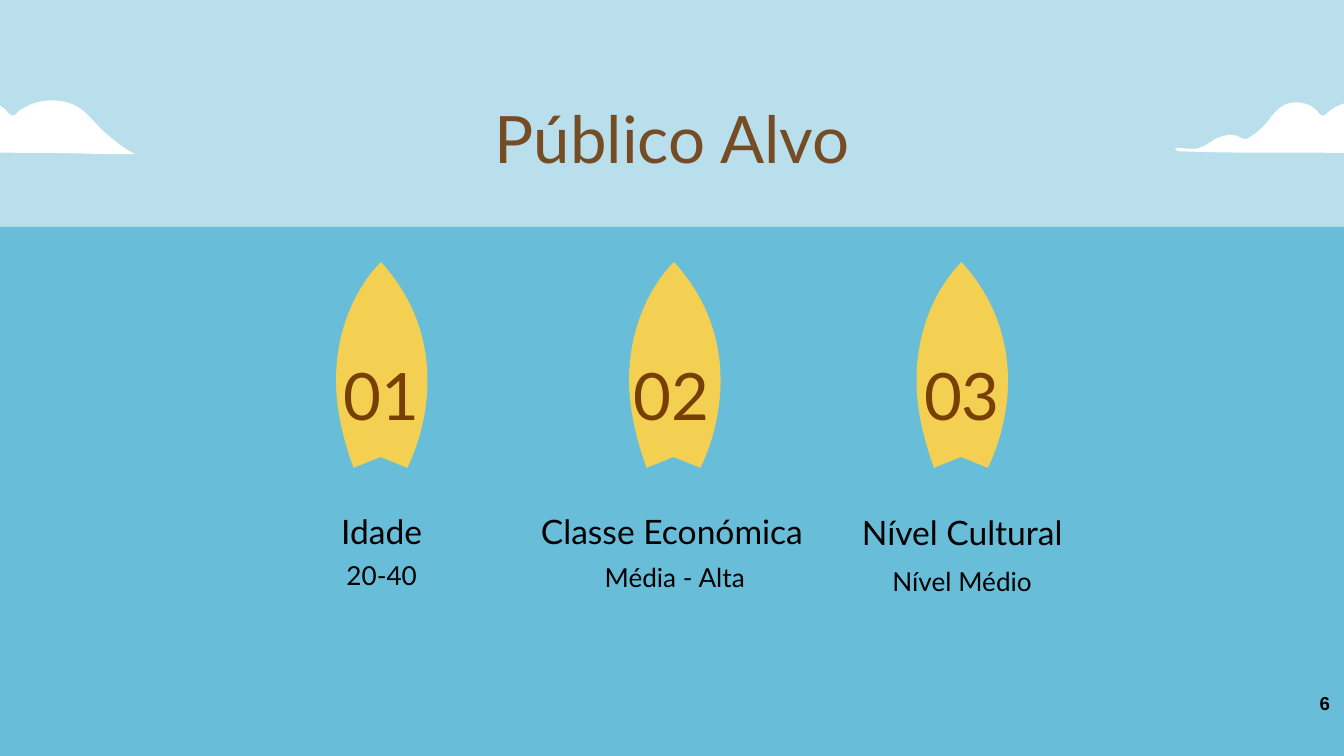
import pptx
import pptx.util
import pptx.dml.color
import pptx.enum.shapes
import pptx.enum.text
import pptx.oxml.ns
import pptx.oxml.xmlchemy

Pt = pptx.util.Pt
RGBColor = pptx.dml.color.RGBColor
Anchor = pptx.enum.text.MSO_ANCHOR
Align = pptx.enum.text.PP_ALIGN

SKY = RGBColor(0xB8, 0xDF, 0xEB)
SEA = RGBColor(0x68, 0xBD, 0xD8)
WHITE = RGBColor(0xFF, 0xFF, 0xFF)
YELLOW = RGBColor(0xF4, 0xD0, 0x52)
TITLE_BROWN = RGBColor(0x75, 0x4C, 0x24)
NUMBER_BROWN = RGBColor(0x78, 0x3F, 0x04)
BLACK = RGBColor(0, 0, 0)

# Outlines in points: three points make a Bézier curve, one makes a line
CLOUD = [
    [(128.2, 31)],
    [(86.4, 29.5), (44.6, 31), (3.6, 29.5)],
    [(2.2, 29.5), (0.7, 29.5), (0, 28.1)],
    [(2.2, 27.4), (5, 28.1), (7.9, 28.1)],
    [(13, 28.8), (17.3, 25.9), (21.6, 23)],
    [(25.9, 20.9), (31.7, 19.4), (35.3, 22.3)],
    [(36, 22.3), (37.4, 23), (38.2, 23)],
    [(38.9, 23), (38.9, 23), (39.6, 22.3)],
    [(43.2, 20.2), (46.8, 17.3), (49.7, 13.7)],
    [(51.8, 10.8), (54, 7.9), (56.9, 5.8)],
    [(62.6, 1.4), (72.7, 2.9), (77, 8.6)],
    [(77.8, 9.4), (77.8, 10.1), (78.5, 10.1)],
    [(79.2, 10.8), (81.4, 10.1), (82.1, 8.6)],
    [(91.4, 0.7), (107.3, 0), (116.6, 7.2)],
    [(119.5, 9.4), (121.7, 12.2), (124.6, 15.1)],
    [(128.2, 19.4), (139.7, 28.8), (145.4, 31)],
]
# The board lies with its nose to the right and is turned upright
SURFBOARD = [
    [(46.8, 0)],
    [(33.2, 0), (18, 2.9), (0, 9.4)],
    [(5.8, 23.8)],
    [(0, 38.2)],
    [(0, 38.2), (20.2, 49), (46.8, 49)],
    [(66.3, 49), (89.3, 43.2), (110.2, 24.1)],
    [(110.2, 24.1), (88.6, 0), (46.8, 0)],
]

prs = pptx.Presentation()
prs.slide_width, prs.slide_height = Pt(720), Pt(405)
slide = prs.slides.add_slide(prs.slide_layouts[5])
slide.background.fill.solid()
slide.background.fill.fore_color.rgb = SKY


def draw_outline(outline, left, top, color, rotation=0):
    corners = [(Pt(x), Pt(y)) for segment in outline for x, y in segment]
    builder = slide.shapes.build_freeform(*corners[0], scale=1.0)
    builder.add_line_segments(corners[1:], close=True)
    figure = builder.convert_to_shape(Pt(left), Pt(top))
    figure.rotation = rotation
    figure.shadow.inherit = False
    figure.fill.solid()
    figure.fill.fore_color.rgb = color
    figure.line.fill.background()
    # Join each three line points into one curve
    lines = iter(figure._element.findall(".//" + pptx.oxml.ns.qn("a:lnTo")))
    for segment in outline[1:]:
        steps = [next(lines) for point in segment]
        if len(steps) == 3:
            curve = pptx.oxml.xmlchemy.OxmlElement("a:cubicBezTo")
            steps[0].addprevious(curve)
            for step in steps:
                curve.append(step[0])
                step.getparent().remove(step)


def write_text(box, place, text, size, color, anchor, insets=(7.2, 7.2), font="Lato"):
    box.left, box.top, box.width, box.height = [Pt(length) for length in place]
    frame = box.text_frame
    frame.word_wrap = True
    frame.auto_size = pptx.enum.text.MSO_AUTO_SIZE.NONE
    frame.vertical_anchor = anchor
    frame.margin_left = frame.margin_right = Pt(insets[0])
    frame.margin_top = frame.margin_bottom = Pt(insets[1])
    frame.text = text
    paragraph = frame.paragraphs[0]
    paragraph.alignment = Align.CENTER
    run_font = paragraph.runs[0].font
    run_font.name, run_font.size = font, Pt(size)
    run_font.color.rgb = color
    return paragraph


# Sea and clouds
sea = slide.shapes.add_shape(pptx.enum.shapes.MSO_SHAPE.RECTANGLE,
                             0, Pt(121.6), Pt(720), Pt(284))
sea.shadow.inherit = False
sea.fill.solid()
sea.fill.fore_color.rgb = SEA
sea.line.fill.background()
for cloud_left in (-72.7, 629.3):
    draw_outline(CLOUD, cloud_left, 51.6, WHITE)

# Title
write_text(slide.shapes.title, (56, 56.2, 608.4, 35.3), "Público Alvo", 35,
           TITLE_BROWN, Anchor.MIDDLE)

# Audience columns: board left, heading, heading top, detail, detail left, detail top
audience = [
    (149.4, "Idade", 267, "20-40", 120.6, 292.7),
    (306.4, "Classe Económica", 267, "Média - Alta", 277.6, 293.5),
    (460.4, "Nível Cultural", 267.8, "Nível Médio", 431.6, 295.5),
]
for index, (board_left, heading, heading_top, detail, detail_left, detail_top) in enumerate(audience):
    offset = 155.5 * index
    draw_outline(SURFBOARD, board_left, 171, YELLOW, 270)
    write_text(slide.shapes.add_textbox(0, 0, 0, 0), (182.8 + offset, 192.8, 43.2, 36.7),
               f"{index + 1:02d}", 35, NUMBER_BROWN, Anchor.MIDDLE, (0, 0))
    write_text(slide.shapes.add_textbox(0, 0, 0, 0), (120.6 + offset, heading_top, 167.8, 35.3),
               heading, 18, BLACK, Anchor.BOTTOM)
    write_text(slide.shapes.add_textbox(0, 0, 0, 0), (detail_left, detail_top, 167.8, 63.4),
               detail, 14, BLACK, Anchor.TOP, (18, 7.2))

# Slide number
page_number = write_text(slide.shapes.add_textbox(0, 0, 0, 0), (699.8, 367.2, 20.2, 19.4),
                         "6", 10, BLACK, Anchor.TOP, (7.2, 3.6), "Arial")
page_number.alignment = Align.LEFT
page_number.runs[0].font.bold = True

prs.save("out.pptx")
